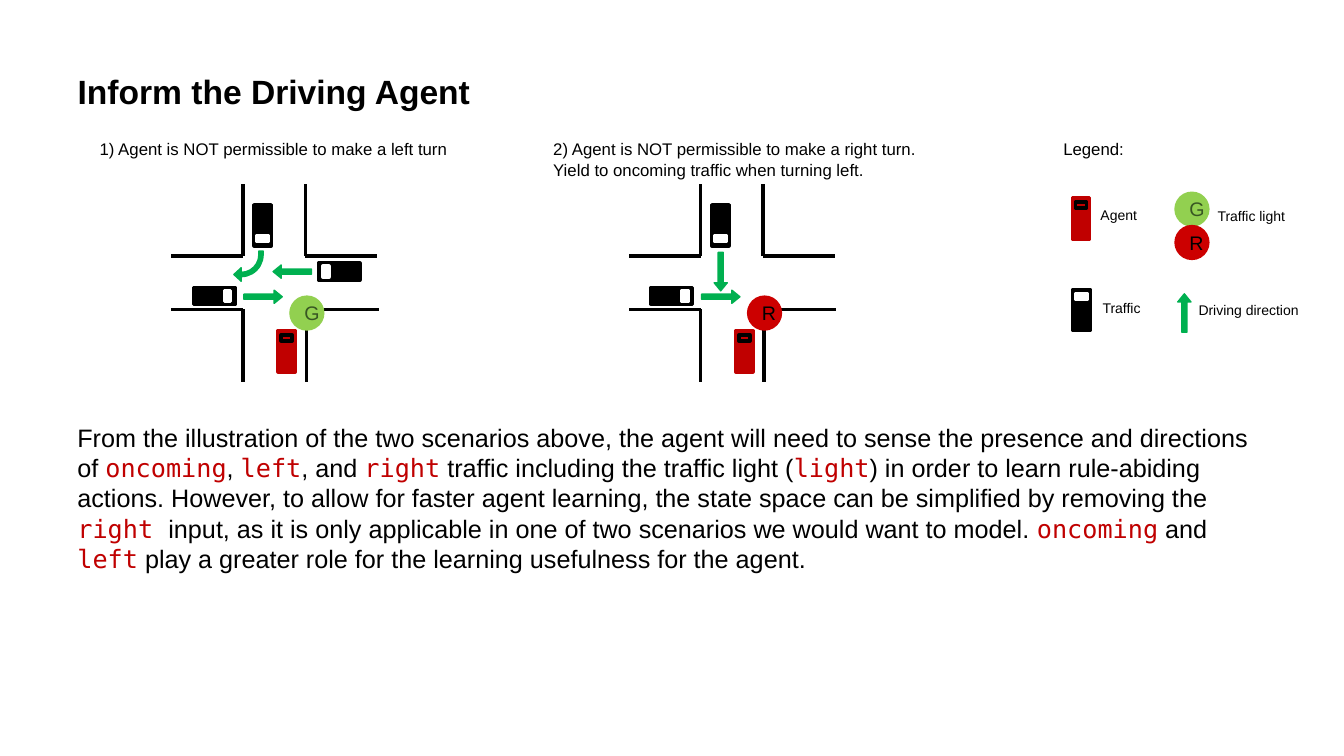
"""Build a slide on what a driving agent must sense at a crossing."""
from dataclasses import dataclass

from pptx import Presentation
from pptx.dml.color import RGBColor
from pptx.enum import shapes, text
from pptx.oxml.ns import qn
from pptx.util import Pt
from lxml import etree

BLACK = RGBColor(0x00, 0x00, 0x00)
WHITE = RGBColor(0xFF, 0xFF, 0xFF)
CAR_RED = RGBColor(0xC0, 0x00, 0x00)
LIGHT_RED = RGBColor(0xCC, 0x00, 0x00)
LIGHT_GREEN = RGBColor(0x92, 0xD0, 0x50)
DARK_GREEN = RGBColor(0x38, 0x57, 0x23)
ARROW_GREEN = RGBColor(0x00, 0xB0, 0x50)
FONT, CODE_FONT = "Arial", "DejaVu Sans Mono"
UP, RIGHT, DOWN, LEFT = 0, 90, 180, 270
SHAPE = shapes.MSO_SHAPE


@dataclass(frozen=True)
class Car:
    x: float
    y: float
    heading: int = UP
    agent: bool = False


@dataclass(frozen=True)
class Arrow:
    x: float
    y: float
    heading: int


@dataclass(frozen=True)
class Light:
    x: float
    y: float
    green: bool


@dataclass(frozen=True)
class Label:
    x: float
    y: float
    width: float
    height: float
    words: str
    size: float


@dataclass(frozen=True)
class Scenario:
    left: float
    green: bool
    cars: tuple[Car, ...]
    arrows: tuple[Arrow, ...]


ROADS = (
    (51.1, 131.6, 51.1, 183.2), (95.8, 131.6, 95.8, 183.2),
    (95.8, 183, 147, 183), (96.5, 221, 148.2, 221),
    (0, 183, 51.1, 183), (0, 221, 51.1, 221),
    (96.5, 221, 96.5, 272.8), (51.1, 221, 51.1, 272.8),
)
SHARED_CARS = (Car(82.4, 250.9, agent=True), Car(65.2, 160.9, DOWN), Car(30.6, 211.4, RIGHT))
EASTBOUND = Arrow(65.5, 212, RIGHT)
SCENARIOS = (
    Scenario(122.4, True, SHARED_CARS + (Car(119.9, 194, LEFT),),
             (EASTBOUND, Arrow(86.4, 194, LEFT))),
    Scenario(449.3, False, SHARED_CARS, (EASTBOUND, Arrow(65.5, 194, DOWN))),
)
LEGEND_CARS = (Car(772.2, 155.9, agent=True), Car(772.6, 221.4))
LEGEND_LIGHTS = (Light(851.4, 149.4, True), Light(851.4, 173.2, False))
LEGEND_ARROW = Arrow(846, 223.6, UP)
LABELS = (
    Label(64.1, 95.8, 280, 21.8, "1) Agent is NOT permissible to make a left turn", 12),
    Label(388.1, 95.8, 316, 36.3, "2) Agent is NOT permissible to make a right turn.\n"
          "Yield to oncoming traffic when turning left.", 12),
    Label(752.4, 95.8, 68.4, 21.8, "Legend:", 12),
    Label(779, 144.2, 57, 19.4, "Agent", 10),
    Label(862.6, 144.7, 81.4, 19.4, "Traffic light", 10),
    Label(780.5, 210.4, 81.4, 19.4, "Traffic", 10),
    Label(849, 211.9, 107.3, 19.4, "Driving direction", 10),
)
SUMMARY = (
    "From the illustration of the two scenarios above, the agent will need to sense the "
    "presence and directions of |oncoming|, |left|, and |right| traffic including the "
    "traffic light (|light|) in order to learn rule-abiding actions. However, to allow for "
    "faster agent learning, the state space can be simplified by removing the |right |input, "
    "as it is only applicable in one of two scenarios we would want to model. |oncoming| and "
    "|left| play a greater role for the learning usefulness for the agent."
)


def add_block(parent, kind, x: float, y: float, width: float, height: float,
              fill: RGBColor, line: RGBColor | None = None, weight: float = 2.5):
    """Add a flat shape centred on x, y."""
    block = parent.add_shape(kind, Pt(x - width / 2), Pt(y - height / 2), Pt(width), Pt(height))
    block.shadow.inherit = False
    block.fill.solid()
    block.fill.fore_color.rgb = fill
    if line is None:
        block.line.fill.background()
    else:
        block.line.color.rgb = line
        block.line.width = Pt(weight)
    return block


def draw_car(slide, car: Car, left: float = 0) -> None:
    """Draw a car with its front window, turned to its heading."""
    paint = CAR_RED if car.agent else BLACK
    window, frame = (CAR_RED, BLACK) if car.agent else (WHITE, WHITE)
    group = slide.shapes.add_group_shape()
    x = left + car.x
    add_block(group.shapes, SHAPE.RECTANGLE, x, car.y, 12.2, 29.5, paint, paint)
    add_block(group.shapes, SHAPE.RECTANGLE, x, car.y - 9.5, 7.9, 4.3, window, frame)
    group.rotation = car.heading


def draw_arrow(slide, arrow: Arrow, left: float = 0) -> None:
    """Draw a straight driving direction."""
    direction = add_block(slide.shapes, SHAPE.RIGHT_ARROW, left + arrow.x, arrow.y, 27.4, 9.4,
                          ARROW_GREEN, ARROW_GREEN, 1)
    direction.adjustments[0], direction.adjustments[1] = 0.387, 0.613
    direction.rotation = (arrow.heading - RIGHT) % 360


def draw_left_turn(slide) -> None:
    """Draw the curved direction of the oncoming car."""
    turn = add_block(slide.shapes, SHAPE.BENT_ARROW, 177.5, 190.1, 20.9, 21.6,
                     ARROW_GREEN, ARROW_GREEN, 1)
    for index, value in enumerate((0.146, 0.231, 0.25, 0.75)):
        turn.adjustments[index] = value
    turn.rotation = 180


def draw_light(slide, light: Light, left: float = 0) -> None:
    """Draw a traffic light with its letter."""
    lamp = add_block(slide.shapes, SHAPE.OVAL, left + light.x, light.y, 25.2, 25.2,
                     LIGHT_GREEN if light.green else LIGHT_RED)
    lamp.text_frame.text = "G" if light.green else "R"
    letter = lamp.text_frame.paragraphs[0]
    letter.alignment = text.PP_ALIGN.CENTER
    letter.font.name, letter.font.size = FONT, Pt(14)
    letter.font.color.rgb = DARK_GREEN if light.green else BLACK


def draw_road(slide, left: float, x1: float, y1: float, x2: float, y2: float) -> None:
    """Draw one road edge."""
    edge = slide.shapes.add_connector(shapes.MSO_CONNECTOR.STRAIGHT, Pt(left + x1), Pt(y1),
                                      Pt(left + x2), Pt(y2))
    edge.line.color.rgb = BLACK
    edge.line.width = Pt(2.5)
    etree.SubElement(edge.line._get_or_add_ln().getparent(), qn("a:effectLst"))


def draw_scenario(slide, scenario: Scenario) -> None:
    """Draw a crossing with its light, cars and directions."""
    for road in ROADS:
        draw_road(slide, scenario.left, *road)
    draw_light(slide, Light(96.8, 223.6, scenario.green), scenario.left)
    for car in scenario.cars:
        draw_car(slide, car, scenario.left)
    for arrow in scenario.arrows:
        draw_arrow(slide, arrow, scenario.left)


def write_label(slide, label: Label):
    """Write a text box and return its frame."""
    frame = slide.shapes.add_textbox(Pt(label.x), Pt(label.y), Pt(label.width),
                                     Pt(label.height)).text_frame
    frame.word_wrap = True
    frame.text = label.words
    for paragraph in frame.paragraphs:
        paragraph.font.name, paragraph.font.size = FONT, Pt(label.size)
        paragraph.font.color.rgb = BLACK
    return frame


def write_title(slide) -> None:
    """Place and format the slide title."""
    title = slide.shapes.title
    title.left, title.top, title.width, title.height = Pt(48.2), Pt(46.8), Pt(606), Pt(36)
    frame = title.text_frame
    frame.text = "Inform the Driving Agent"
    frame.vertical_anchor = text.MSO_ANCHOR.TOP
    frame.auto_size = text.MSO_AUTO_SIZE.NONE
    heading = frame.paragraphs[0]
    heading.alignment = text.PP_ALIGN.LEFT
    heading.font.name, heading.font.size, heading.font.bold = FONT, Pt(24), True
    heading.font.color.rgb = BLACK


def write_summary(slide) -> None:
    """Write the summary with its input names set as code."""
    summary = write_label(slide, Label(48.2, 298.1, 859, 138.2, "", 18)).paragraphs[0]
    for index, words in enumerate(SUMMARY.split("|")):
        run = summary.add_run()
        run.text = words
        run.font.name = CODE_FONT if index % 2 else FONT
        run.font.color.rgb = CAR_RED if index % 2 else BLACK


def main() -> None:
    """Build and save the slide."""
    deck = Presentation()
    deck.slide_width, deck.slide_height = Pt(960), Pt(540)
    slide = deck.slides.add_slide(deck.slide_layouts.get_by_name("Title Only"))
    write_title(slide)
    write_summary(slide)
    for scenario in SCENARIOS:
        draw_scenario(slide, scenario)
    draw_left_turn(slide)
    for car in LEGEND_CARS:
        draw_car(slide, car)
    for light in LEGEND_LIGHTS:
        draw_light(slide, light)
    draw_arrow(slide, LEGEND_ARROW)
    for label in LABELS:
        write_label(slide, label)
    deck.save("out.pptx")


if __name__ == "__main__":
    main()
